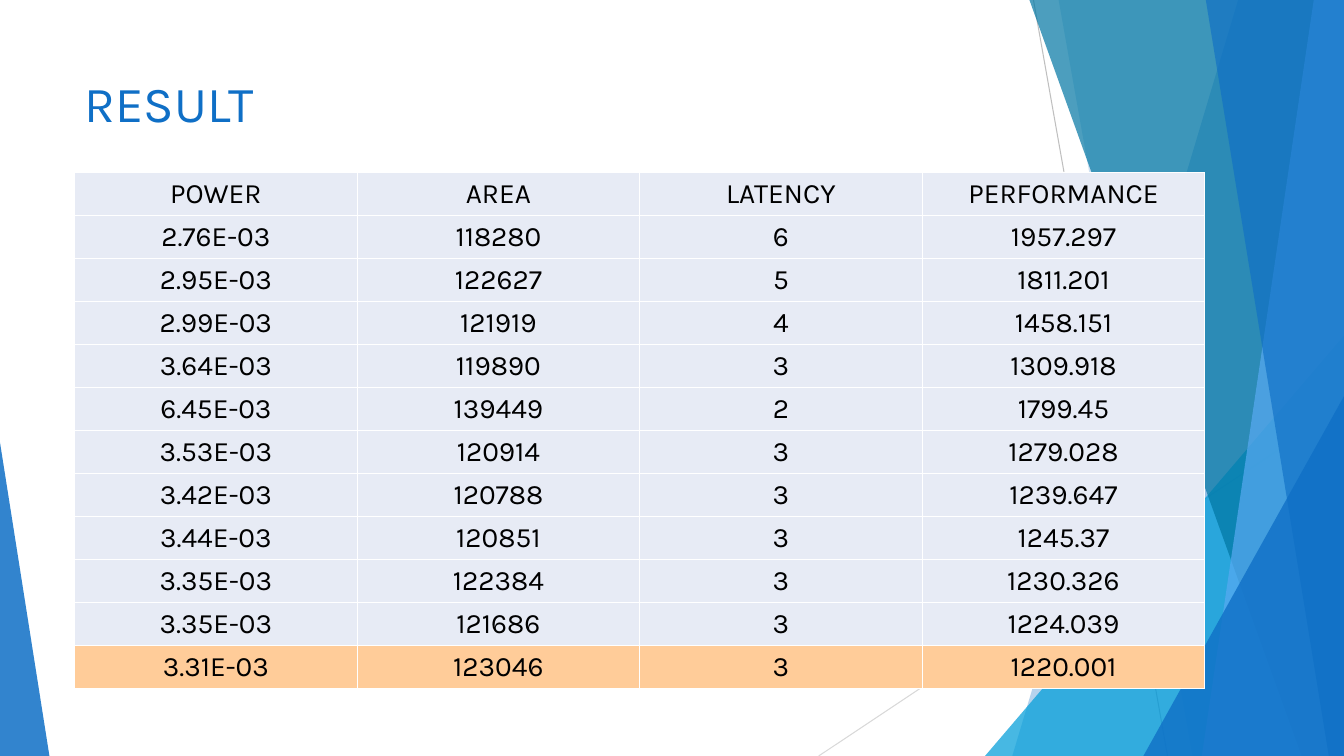
from lxml import etree
from pptx import Presentation
from pptx.dml.color import RGBColor
from pptx.enum.shapes import MSO_CONNECTOR, MSO_SHAPE
from pptx.enum.text import MSO_ANCHOR, PP_ALIGN
from pptx.oxml.ns import qn
from pptx.util import Inches, Pt

TRIANGLE = MSO_SHAPE.ISOSCELES_TRIANGLE
STRAIGHT = MSO_CONNECTOR.STRAIGHT
TOP, MIDDLE = MSO_ANCHOR.TOP, MSO_ANCHOR.MIDDLE
CENTER = PP_ALIGN.CENTER

SLIDE_W, SLIDE_H = 13.33, 7.5
FONT = "Karla"
BLUE, SKY, TEAL, LIGHT_BLUE = "0F6FC6", "009DD9", "0076A3", "59AAF2"
ROW_FILL, BEST_FILL = "E7EBF5", "FFCC99"

RESULTS = [
    ("POWER", "AREA", "LATENCY", "PERFORMANCE"),
    ("2.76E-03", "118280", "6", "1957.297"),
    ("2.95E-03", "122627", "5", "1811.201"),
    ("2.99E-03", "121919", "4", "1458.151"),
    ("3.64E-03", "119890", "3", "1309.918"),
    ("6.45E-03", "139449", "2", "1799.45"),
    ("3.53E-03", "120914", "3", "1279.028"),
    ("3.42E-03", "120788", "3", "1239.647"),
    ("3.44E-03", "120851", "3", "1245.37"),
    ("3.35E-03", "122384", "3", "1230.326"),
    ("3.35E-03", "121686", "3", "1224.039"),
    ("3.31E-03", "123046", "3", "1220.001"),
]


def rgb(color):
    return RGBColor.from_string(color)


def paint(shape, color, opacity):
    """Fill a shape with a see-through colour; opacity is in percent."""
    shape.shadow.inherit = False
    shape.line.fill.background()
    shape.fill.solid()
    shape.fill.fore_color.rgb = rgb(color)
    srgb = shape.fill._xPr.find(qn("a:solidFill"))[0]
    etree.SubElement(srgb, qn("a:alpha")).set("val", str(opacity * 1000))


def add_thin_line(slide, start, end, color):
    line = slide.shapes.add_connector(STRAIGHT, *map(Inches, start + end))
    line.line.color.rgb = rgb(color)
    line.line.width = Pt(0.75)
    etree.SubElement(line._element.spPr, qn("a:effectLst"))


def add_facet(slide, top_x, bottom_x, color, opacity):
    """Full-height band from a slanted left edge to the right slide edge."""
    corners = [(SLIDE_W, 0), (SLIDE_W, SLIDE_H), (bottom_x, SLIDE_H)]
    builder = slide.shapes.build_freeform(Inches(top_x), 0)
    builder.add_line_segments([(Inches(x), Inches(y)) for x, y in corners])
    paint(builder.convert_to_shape(), color, opacity)


def add_corner_triangle(slide, left, top, width, apex, color, opacity):
    """Triangle standing on the bottom edge; apex 0 is left, 1 is right."""
    triangle = slide.shapes.add_shape(
        TRIANGLE, Inches(left), Inches(top), Inches(width), Inches(SLIDE_H - top))
    triangle.adjustments[0] = apex
    paint(triangle, color, opacity)


def format_text(paragraph, size, color):
    font = paragraph.runs[0].font
    font.name = FONT
    font.size = Pt(size)
    font.bold = False
    font.color.rgb = rgb(color)


def add_title(slide, text):
    title = slide.shapes.add_textbox(
        Inches(0.74), Inches(0.67), Inches(9.4), Inches(1.44))
    frame = title.text_frame
    frame.word_wrap = True
    frame.vertical_anchor = TOP
    frame.text = text
    format_text(frame.paragraphs[0], 36, BLUE)


def add_cell_borders(cell, color):
    properties = cell._tc.get_or_add_tcPr()
    for position, side in enumerate(("a:lnL", "a:lnR", "a:lnT", "a:lnB")):
        border = etree.Element(qn(side), w=str(Pt(1)))
        fill = etree.SubElement(border, qn("a:solidFill"))
        etree.SubElement(fill, qn("a:srgbClr")).set("val", color)
        properties.insert(position, border)


def fill_cell(cell, text, color):
    cell.text_frame.text = text
    cell.vertical_anchor = MIDDLE
    cell.margin_left = cell.margin_right = cell.margin_top = Inches(0.01)
    cell.margin_bottom = 0
    paragraph = cell.text_frame.paragraphs[0]
    paragraph.alignment = CENTER
    format_text(paragraph, 20, "000000")
    cell.fill.solid()
    cell.fill.fore_color.rgb = rgb(color)
    add_cell_borders(cell, "FFFFFF")


def add_results_table(slide, results):
    table = slide.shapes.add_table(
        len(results), len(results[0]),
        Inches(0.74), Inches(1.71), Inches(11.21), Inches(5.12)).table
    table.first_row = table.horz_banding = False
    for row, values in enumerate(results):
        color = BEST_FILL if row == len(results) - 1 else ROW_FILL
        for column, value in enumerate(values):
            fill_cell(table.cell(row, column), value, color)


def add_backdrop(slide):
    add_thin_line(slide, (10.25, 0), (11.58, SLIDE_H), "BFBFBF")
    add_thin_line(slide, (SLIDE_W, 4.03), (8.12, SLIDE_H), "D9D9D9")
    add_facet(slide, 12.28, 10.04, BLUE, 30)
    add_facet(slide, 10.5, 11.83, BLUE, 20)
    add_corner_triangle(slide, 9.77, 3.33, 3.56, 1, SKY, 72)
    add_facet(slide, 10.21, 12.91, TEAL, 70)
    add_facet(slide, 13.03, 11.92, LIGHT_BLUE, 70)
    add_facet(slide, 11.96, 13.18, BLUE, 65)
    add_corner_triangle(slide, 11.34, 3.93, 1.99, 1, BLUE, 80)
    add_corner_triangle(slide, 0, 4.39, 0.49, 0, BLUE, 85)


def main():
    presentation = Presentation()
    presentation.slide_width = Inches(SLIDE_W)
    presentation.slide_height = Inches(SLIDE_H)
    slide = presentation.slides.add_slide(presentation.slide_layouts[6])
    add_backdrop(slide)
    add_title(slide, "RESULT")
    add_results_table(slide, RESULTS)
    presentation.save("out.pptx")


if __name__ == "__main__":
    main()
